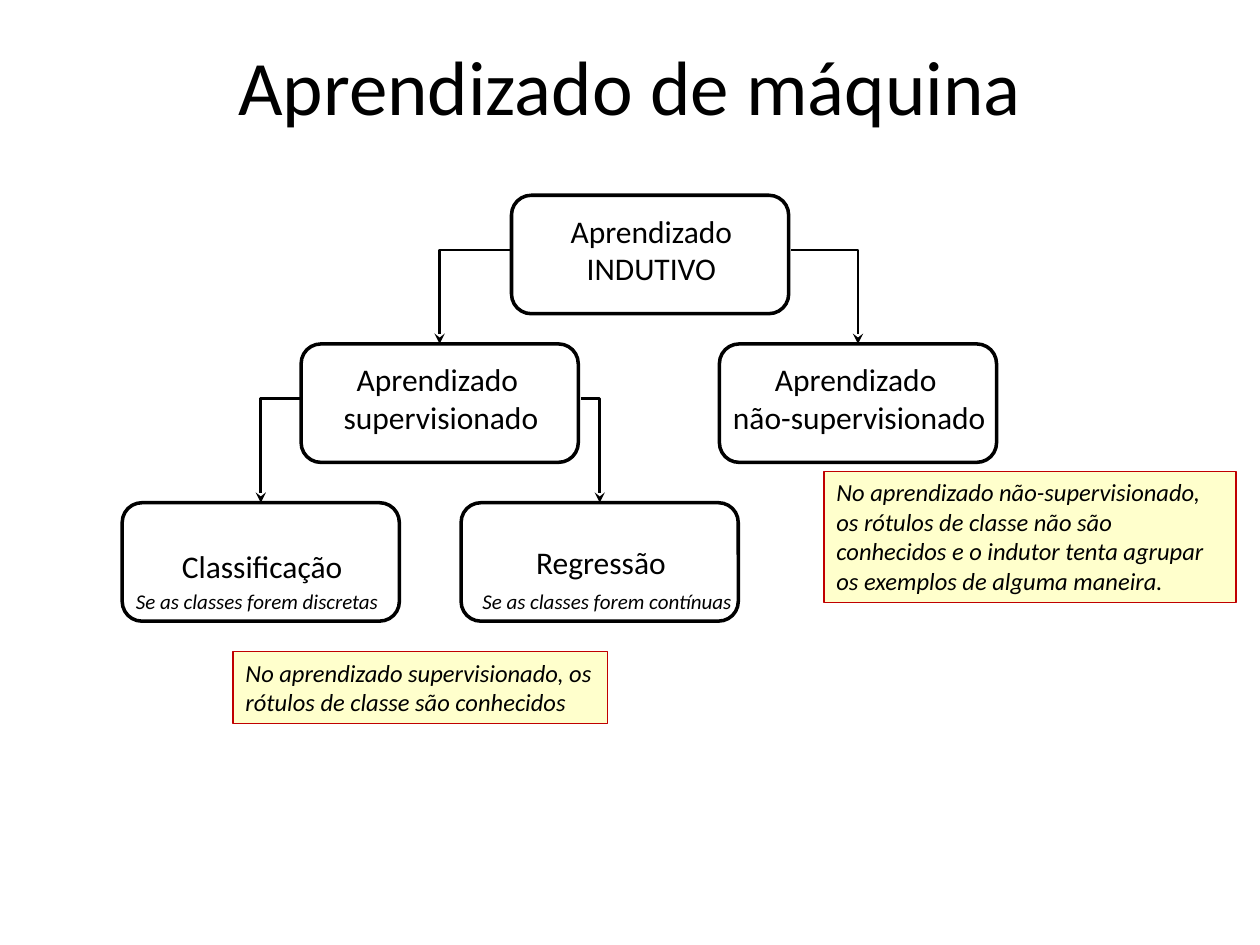
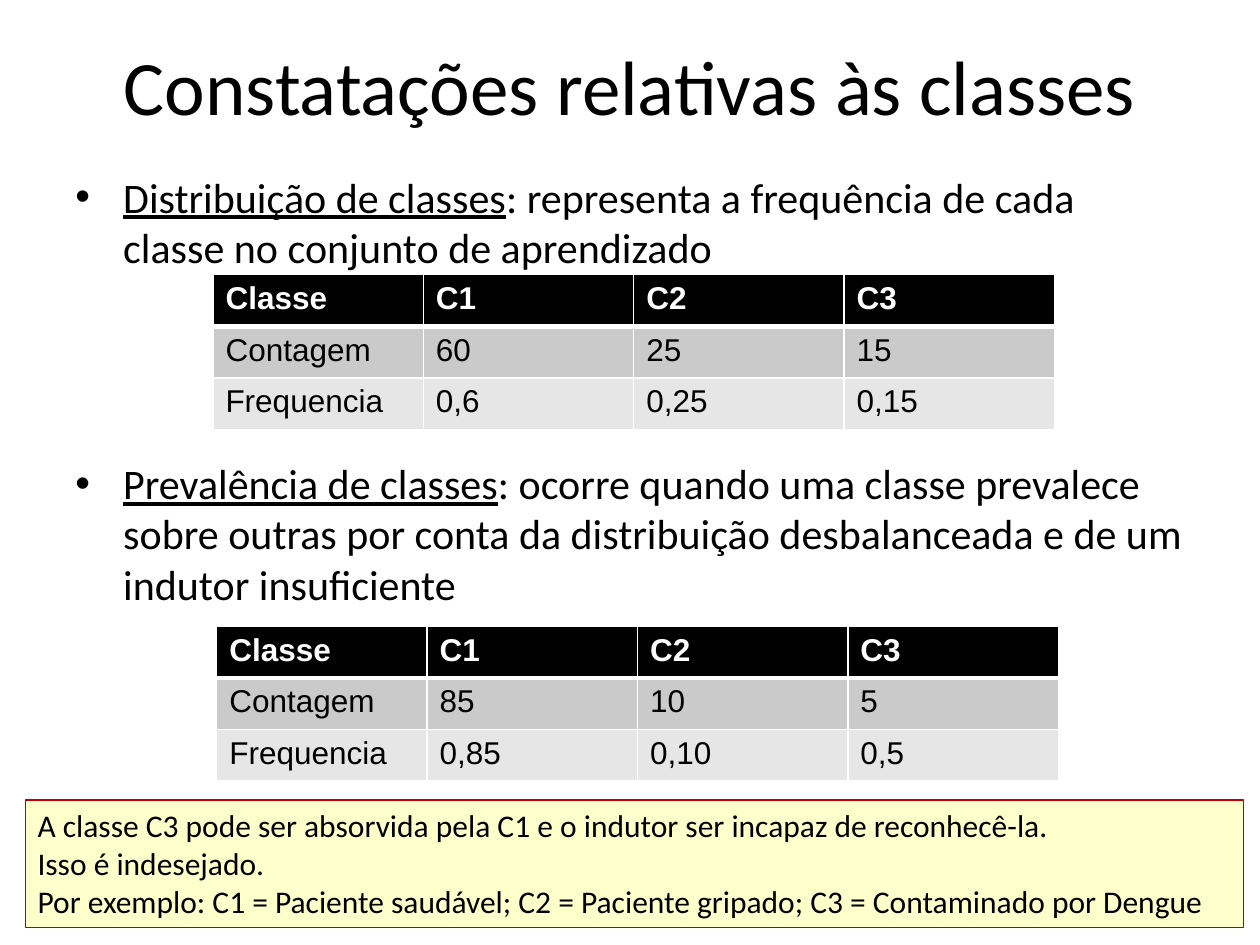
from pptx import Presentation, util as u
from pptx.dml.color import RGBColor
from pptx.enum import shapes, text
from pptx.oxml.ns import qn
from lxml import etree

BLACK, WHITE, YELLOW, RED = "000000", "FFFFFF", "FFFFCC", "C00000"
ROW_FILLS = [BLACK, "CACACA", "E6E6E6"]
FONT, TABLE_FONT = "Calibri", "Arial"
CENTER = text.PP_ALIGN.CENTER

# Tree of learning types
NODE_W, NODE_H, LABEL_W = 2.2, 0.94, 2.22
ROOT_Y, MID_Y, LEAF_Y = 1.55, 2.73, 3.99
# name: (left, top, label offset, label height, label lines)
NODES = {
    "indutivo": (4.06, ROOT_Y, 0.08, 0.71, ["Aprendizado INDUTIVO"]),
    "não-supervisionado": (5.71, MID_Y, 0.08, 0.71, ["Aprendizado ", "não-supervisionado"]),
    "supervisionado": (2.39, MID_Y, 0.08, 0.71, ["Aprendizado ", "supervisionado"]),
    "classificação": (0.97, LEAF_Y, 0.3, 0.4, ["Classificação"]),
    "regressão": (3.66, LEAF_Y, 0.27, 0.4, ["Regressão"]),
}
TOP, LEFT, RIGHT = 0, 1, 3
BRANCHES = [
    ("indutivo", LEFT, "supervisionado"),
    ("indutivo", RIGHT, "não-supervisionado"),
    ("supervisionado", LEFT, "classificação"),
    ("supervisionado", RIGHT, "regressão"),
]
CAPTIONS = [
    ((0.98, 4.62, 2.14, 0.3), "Se as classes forem discretas"),
    ((3.73, 4.62, 2.2, 0.3), "Se as classes forem contínuas"),
]
TREE_NOTES = [
    ((1.85, 5.17, 2.97, 0.57),
     "No aprendizado supervisionado, os rótulos de classe são conhecidos"),
    ((6.54, 3.74, 3.27, 1.04),
     "No aprendizado não-supervisionado, os rótulos de classe não são conhecidos "
     "e o indutor tenta agrupar os exemplos de alguma maneira."),
]

# Class distribution: (space before, term, definition)
BULLETS = [
    (0, "Distribuição de classes",
     ": representa a frequência de cada classe no conjunto de aprendizado"),
    (106, "Prevalência de classes",
     ": ocorre quando uma classe prevalece sobre outras por conta da distribuição "
     "desbalanceada e de um indutor insuficiente"),
]
HEADER = ["Classe", "C1", "C2", "C3"]
TABLES = [
    ((1.69, 2.18), [["Contagem", "60", "25", "15"], ["Frequencia", "0,6", "0,25", "0,15"]]),
    ((1.72, 4.97), [["Contagem", "85", "10", "5"], ["Frequencia", "0,85", "0,10", "0,5"]]),
]
COL_W, ROW_H = 1.67, 0.41
CLASS_NOTE = [
    "A classe C3 pode ser absorvida pela C1 e o indutor ser incapaz de reconhecê-la.",
    "Isso é indesejado.",
    "Por exemplo: C1 = Paciente saudável; C2 = Paciente gripado; C3 = Contaminado por Dengue",
]


def rgb(color):
    return RGBColor.from_string(color)


def inches(*lengths):
    return [u.Inches(n) for n in lengths]


def add_run(p, words, size, color=BLACK, font=FONT, bold=False, italic=False, underline=False):
    r = p.add_run()
    r.text = words
    f = r.font
    f.name, f.size, f.bold, f.italic, f.underline = font, u.Pt(size), bold, italic, underline
    f.color.rgb = rgb(color)


def write(tf, lines, size, align=text.PP_ALIGN.LEFT, anchor=text.MSO_ANCHOR.TOP, **style):
    """Fill a text frame, one paragraph to a line."""
    tf.word_wrap, tf.vertical_anchor = True, anchor
    for i, line in enumerate(lines):
        p = tf.add_paragraph() if i else tf.paragraphs[0]
        p.alignment = align
        add_run(p, line, size, **style)


def add_label(s, box, lines, size, **style):
    label = s.shapes.add_textbox(*inches(*box))
    write(label.text_frame, lines, size, **style)
    return label


def add_box(s, kind, box, line, width, fill=None):
    sp = s.shapes.add_shape(kind, *inches(*box))
    sp.shadow.inherit = False
    if fill:
        sp.fill.solid()
        sp.fill.fore_color.rgb = rgb(fill)
    else:
        sp.fill.background()
    sp.line.color.rgb = rgb(line)
    sp.line.width = u.Pt(width)
    return sp


def add_note(s, box, lines, size, **style):
    sp = add_box(s, shapes.MSO_SHAPE.RECTANGLE, box, RED, 0.75, YELLOW)
    write(sp.text_frame, lines, size, **style)


def add_branch(s, parent, side, child):
    """Draw an arrow from a side of the parent, with one bend, to the top of the child."""
    c = s.shapes.add_connector(shapes.MSO_CONNECTOR.ELBOW, 0, 0, 0, 0)
    c.begin_connect(parent, side)
    c.end_connect(child, TOP)
    c.line.color.rgb = rgb(BLACK)
    c.line.width = u.Pt(1.5)
    spPr = c._element.spPr
    spPr.find(qn("a:prstGeom")).set("prst", "bentConnector2")
    etree.SubElement(spPr.find(qn("a:ln")), qn("a:tailEnd"), type="stealth")
    etree.SubElement(spPr, qn("a:effectLst"))


def add_bullet(p):
    pPr = p._p.get_or_add_pPr()
    indent = u.Inches(0.38)
    pPr.set("marL", str(indent))
    pPr.set("indent", str(-indent))
    etree.SubElement(pPr, qn("a:buFont"), typeface=TABLE_FONT)
    etree.SubElement(pPr, qn("a:buChar"), char="•")


def add_borders(cell, bottom):
    tcPr = cell._tc.get_or_add_tcPr()
    for side, width in [("L", 1), ("R", 1), ("T", 1), ("B", bottom)]:
        ln = etree.SubElement(tcPr, qn("a:ln" + side), w=str(u.Pt(width)))
        fill = etree.SubElement(ln, qn("a:solidFill"))
        etree.SubElement(fill, qn("a:srgbClr"), val=WHITE)


def add_class_table(s, corner, body):
    rows = [HEADER] + body
    size = COL_W * len(HEADER), ROW_H * len(rows)
    table = s.shapes.add_table(len(rows), len(HEADER), *inches(*corner, *size)).table
    for i, row in enumerate(rows):
        head = i == 0
        for j, value in enumerate(row):
            cell = table.cell(i, j)
            add_borders(cell, 3 if head else 1)
            cell.fill.solid()
            cell.fill.fore_color.rgb = rgb(ROW_FILLS[i])
            add_run(cell.text_frame.paragraphs[0], value, 18,
                    WHITE if head else BLACK, TABLE_FONT, bold=head)


def add_slide(prs, title):
    s = prs.slides.add_slide(prs.slide_layouts[6])
    add_label(s, (0.5, 0.05, 9, 1.25), [title], 44, align=CENTER, anchor=text.MSO_ANCHOR.MIDDLE)
    return s


def build_tree(prs):
    s = add_slide(prs, "Aprendizado de máquina")
    frames, labels = {}, {}
    for name, (x, y, offset, height, lines) in NODES.items():
        frames[name] = add_box(s, shapes.MSO_SHAPE.ROUNDED_RECTANGLE,
                               (x, y, NODE_W, NODE_H), BLACK, 2)
        labels[name] = add_label(s, (x, y + offset, LABEL_W, height), lines, 18, align=CENTER)
    for parent, side, child in BRANCHES:
        add_branch(s, labels[parent], side, frames[child])
    for box, words in CAPTIONS:
        add_label(s, box, [words], 12, italic=True)
    for box, words in TREE_NOTES:
        add_note(s, box, [words], 14, italic=True)


def build_classes(prs):
    s = add_slide(prs, "Constatações relativas às classes")
    tf = s.shapes.add_textbox(*inches(0.5, 1.31, 9, 5.98)).text_frame
    tf.word_wrap = True
    for i, (space, term, definition) in enumerate(BULLETS):
        p = tf.add_paragraph() if i else tf.paragraphs[0]
        p.space_before = u.Pt(space)
        add_bullet(p)
        add_run(p, term, 24, underline=True)
        add_run(p, definition, 24)
    for corner, body in TABLES:
        add_class_table(s, corner, body)
    add_note(s, (0.2, 6.35, 9.67, 1.01), CLASS_NOTE, 18)


def main():
    prs = Presentation()
    prs.slide_width, prs.slide_height = inches(10, 7.5)
    build_tree(prs)
    build_classes(prs)
    prs.save("out.pptx")


if __name__ == "__main__":
    main()
